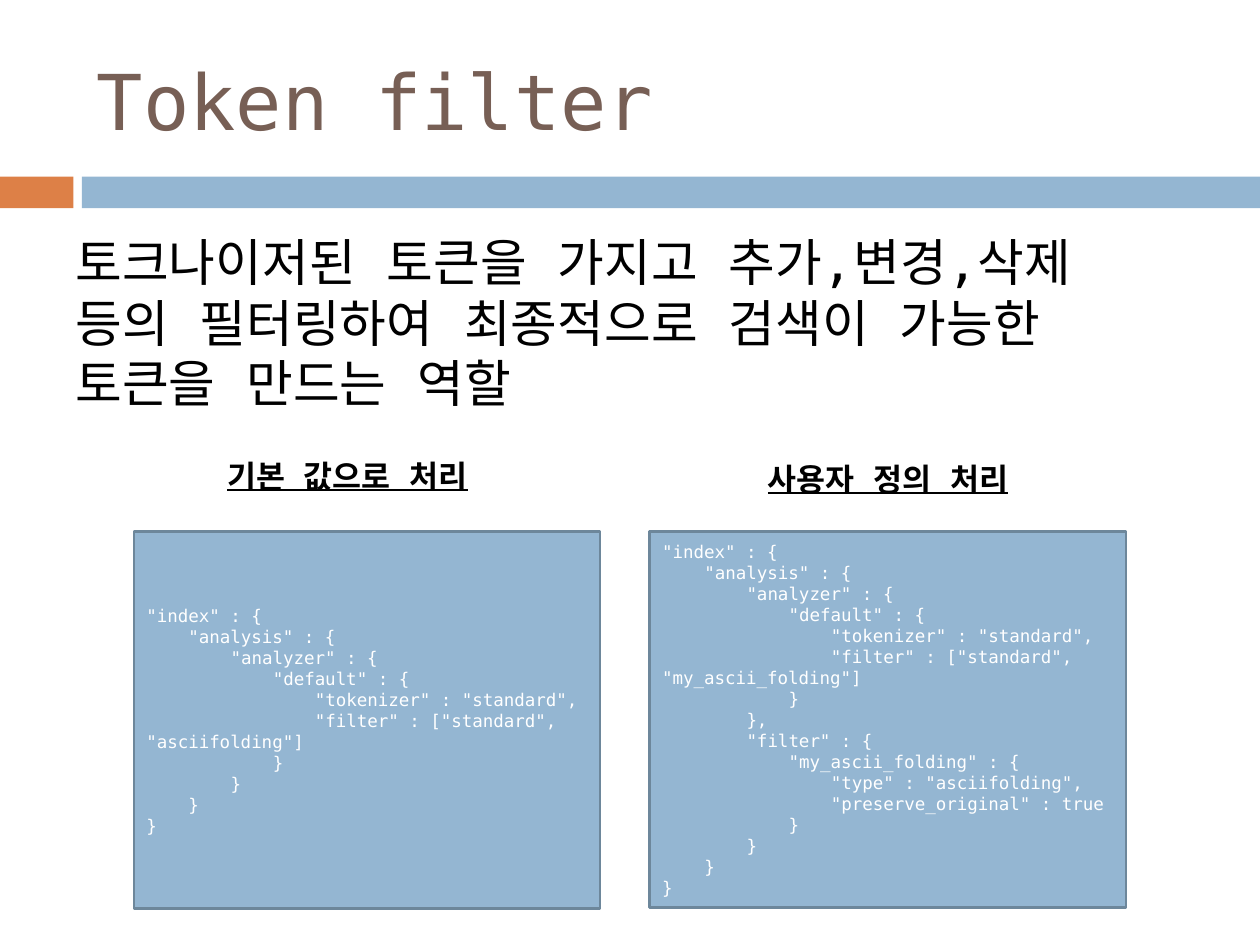
from pptx import Presentation
from pptx.dml.color import RGBColor
from pptx.enum.shapes import MSO_SHAPE
from pptx.enum.text import MSO_ANCHOR, PP_ALIGN
from pptx.oxml.ns import qn
from pptx.util import Cm, Pt

RECTANGLE = MSO_SHAPE.RECTANGLE
TOP, MIDDLE = MSO_ANCHOR.TOP, MSO_ANCHOR.MIDDLE
LEFT, CENTER = PP_ALIGN.LEFT, PP_ALIGN.CENTER
FONT = "DejaVu Sans Mono"
BLUE, ORANGE, BROWN, EDGE = "94B6D2", "DD8047", "775F55", "6D879B"
CODE_INDENT = Cm(0.85)  # four characters of 10 pt code


def write(shape, text, size, color="000000", bold=False, underline=False,
          align=LEFT, anchor=TOP, before=0):
    """Fill a shape with one paragraph per line of text."""
    frame = shape.text_frame
    frame.word_wrap = True
    frame.vertical_anchor = anchor
    for number, line in enumerate(text.splitlines()):
        para = frame.add_paragraph() if number else frame.paragraphs[0]
        para.alignment = align
        para.space_before = Pt(before)
        span = para.add_run()
        span.text = line
        font = span.font
        font.name, font.size = FONT, Pt(size)
        font.bold, font.underline = bold, underline
        font.color.rgb = RGBColor.from_string(color)
        east_asian = font._element.makeelement(qn("a:ea"), {"typeface": FONT})
        font._element.find(qn("a:latin")).addnext(east_asian)


def add_box(left, top, width, height, fill, line=None):
    box = page.shapes.add_shape(RECTANGLE, Cm(left), Cm(top), Cm(width), Cm(height))
    box.shadow.inherit = False
    box.fill.solid()
    box.fill.fore_color.rgb = RGBColor.from_string(fill)
    if line:
        box.line.color.rgb = RGBColor.from_string(line)
        box.line.width = Pt(1.5)
    else:
        box.line.fill.background()
    return box


deck = Presentation()
deck.slide_width, deck.slide_height = Cm(25.4), Cm(19.05)
page = deck.slides.add_slide(deck.slide_layouts[5])

# Header bands
add_box(0, 3.56, 1.48, 0.64, ORANGE)
add_box(1.65, 3.56, 23.75, 0.64, BLUE)

# Title
title = page.shapes.title
title.left, title.top, title.width, title.height = Cm(1.7), Cm(0.64), Cm(22.66), Cm(2.74)
write(title, "Token filter", 44, color=BROWN, anchor=MIDDLE)

# Description
description = page.shapes.add_textbox(Cm(1.27), Cm(4.52), Cm(22.86), Cm(4.19))
write(description, "토크나이저된 토큰을 가지고 추가,변경,삭제 등의 필터링하여 "
      "최종적으로 검색이 가능한 토큰을 만드는 역할", 29, before=7)

# Code, indented below by its braces
DEFAULT_CODE = """"index" : {
"analysis" : {
"analyzer" : {
"default" : {
"tokenizer" : "standard",
"filter" : ["standard", "asciifolding"]
}
}
}
}"""
CUSTOM_CODE = """"index" : {
"analysis" : {
"analyzer" : {
"default" : {
"tokenizer" : "standard",
"filter" : ["standard", "my_ascii_folding"]
}
},
"filter" : {
"my_ascii_folding" : {
"type" : "asciifolding",
"preserve_original" : true
}
}
}
}"""

# Two examples: heading and code box
examples = [
    ("기본 값으로 처리", 3.5, 9.09, DEFAULT_CODE, 2.7, 9.4, 7.6),
    ("사용자 정의 처리", 14.4, 9.15, CUSTOM_CODE, 13.1, 9.6, 7.57),
]
for heading, heading_left, heading_top, code, left, width, height in examples:
    label = page.shapes.add_textbox(Cm(heading_left), Cm(heading_top), Cm(7.01), Cm(1.02))
    write(label, heading, 18, bold=True, underline=True, align=CENTER)

    code_box = add_box(left, 10.72, width, height, BLUE, line=EDGE)
    write(code_box, code, 10, color="FFFFFF", anchor=MIDDLE)
    level = 0
    for para in code_box.text_frame.paragraphs:
        level -= para.text.startswith("}")
        properties = para._p.get_or_add_pPr()
        properties.set("marL", "0")
        properties.set("indent", str(level * CODE_INDENT))
        level += para.text.endswith("{")

deck.save("out.pptx")
